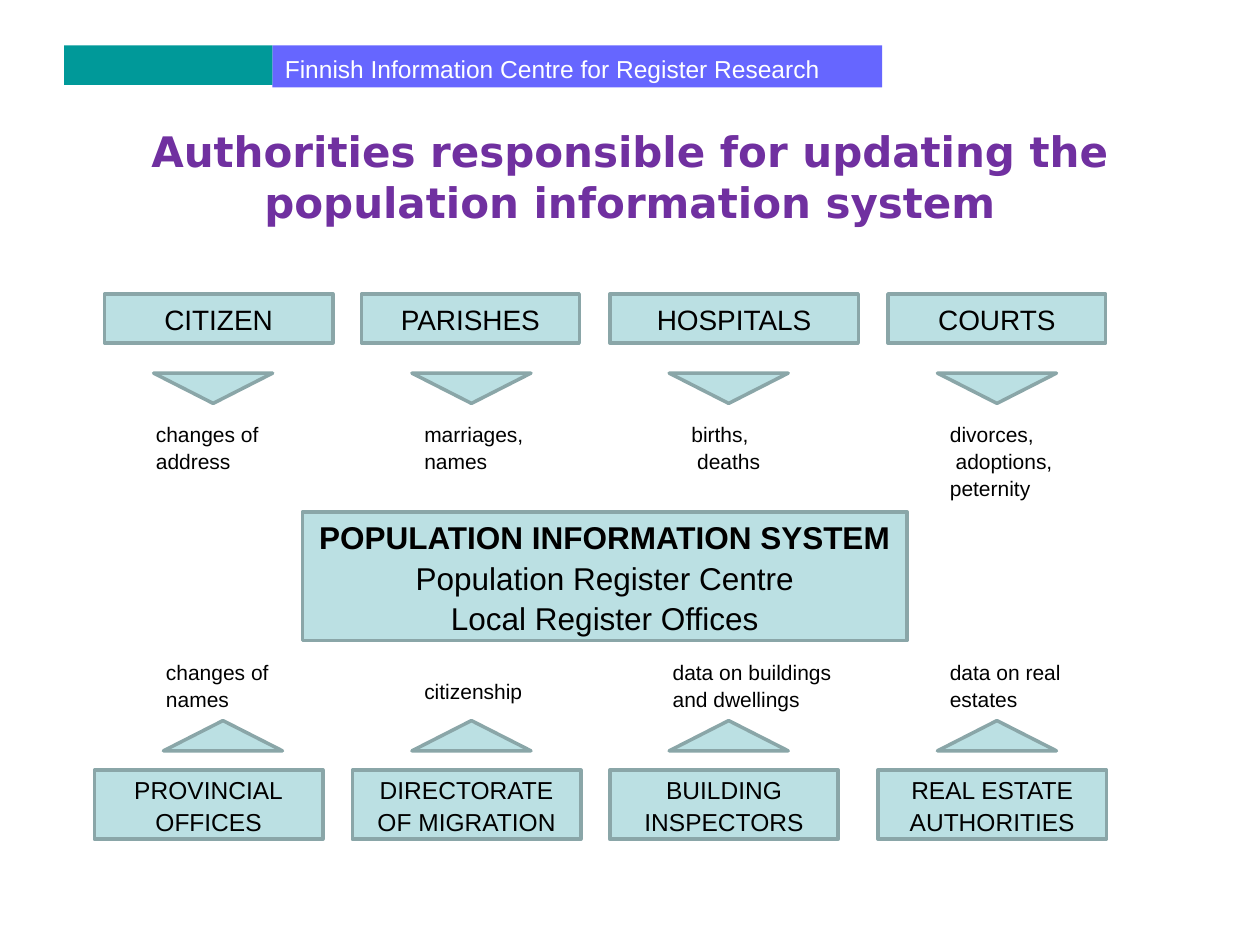
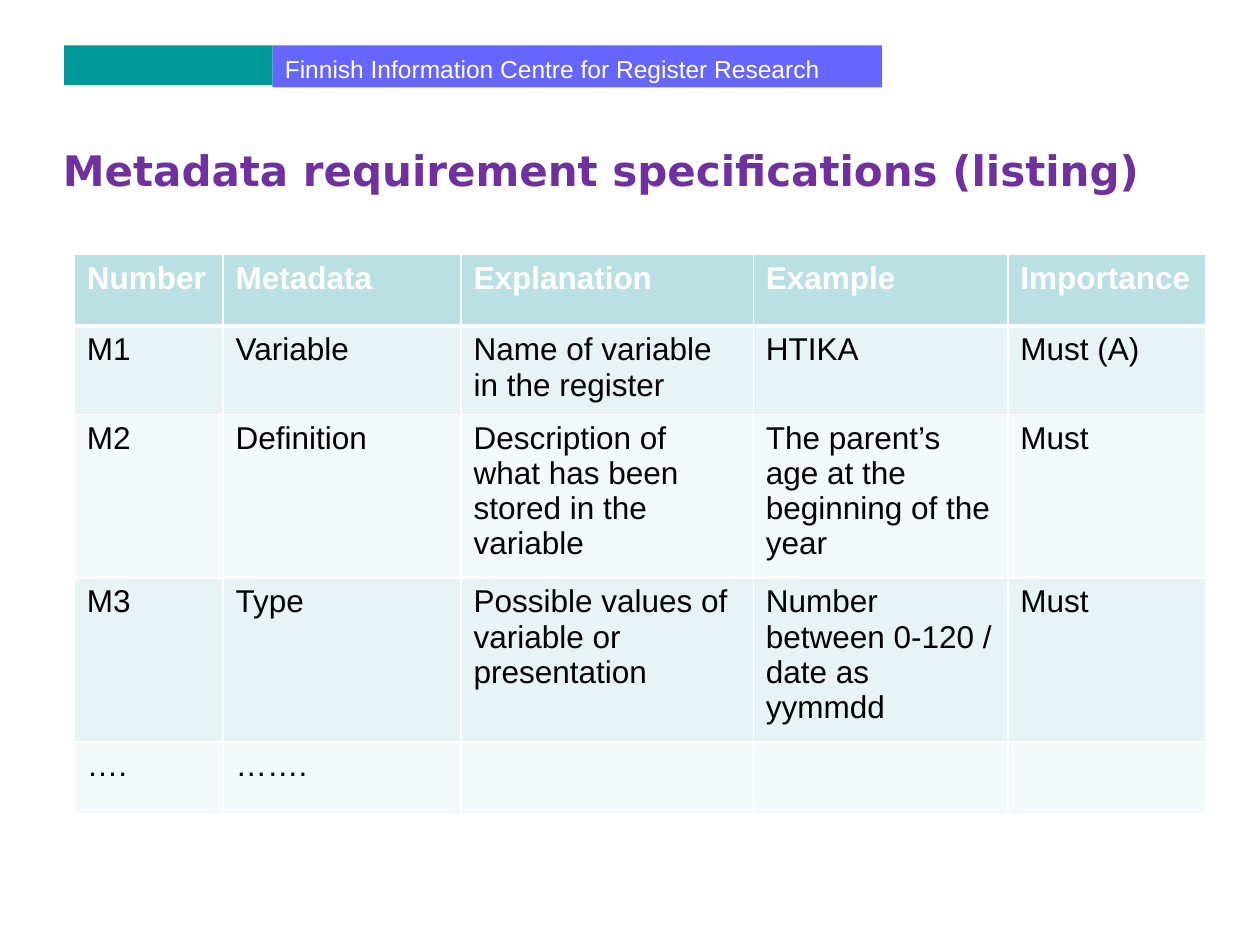
from dataclasses import dataclass

from lxml import etree
from pptx import Presentation
from pptx.dml.color import RGBColor
from pptx.enum.shapes import MSO_SHAPE
from pptx.enum.text import MSO_ANCHOR, PP_ALIGN
from pptx.oxml.ns import qn
from pptx.util import Pt

RECTANGLE = MSO_SHAPE.RECTANGLE
TRIANGLE = MSO_SHAPE.ISOSCELES_TRIANGLE
LEFT, CENTER = PP_ALIGN.LEFT, PP_ALIGN.CENTER
TOP, MIDDLE = MSO_ANCHOR.TOP, MSO_ANCHOR.MIDDLE


@dataclass(frozen=True)
class Theme:
    body_font: str = "Arial"
    title_font: str = "DejaVu Sans"
    title_size: int = 24
    large_size: int = 18
    heading_size: int = 16
    medium_size: int = 14
    label_size: int = 12
    line_spacing: float = 1.07
    black: str = "000000"
    white: str = "FFFFFF"
    purple: str = "7030A0"
    teal: str = "009999"
    violet: str = "6666FF"
    aqua: str = "BBE0E3"
    aqua_edge: str = "8AA6A8"
    row_fills: tuple = ("E7F3F4", "F3F9FA")


THEME = Theme()


@dataclass(frozen=True)
class Authority:
    """A data source: its box, its arrow and the data it reports."""
    name: str
    left: float
    width: float
    arrow_left: float
    label: str
    label_left: float
    label_width: float
    label_drop: float = 0
    indent_second: bool = False


@dataclass(frozen=True)
class RowLayout:
    """Vertical places of the parts of one row of authorities."""
    name_top: float
    name_height: float
    name_size: int
    arrow_top: float
    label_top: float
    arrow_rotation: int


DIAGRAM_BOX = (54, 168)
TABLE_BOX = (42.5, 145.5)
ARROW_WIDTH, ARROW_HEIGHT = 68, 17.3
LABEL_LINE_HEIGHT = 14.7

UPPER_LAYOUT = RowLayout(0, 28, THEME.heading_size, 45.2, 68.2, 180)
LOWER_LAYOUT = RowLayout(272, 39.6, THEME.medium_size, 243.8, 204.2, 0)

UPPER_AUTHORITIES = (
    Authority("CITIZEN", 5.7, 130.5, 33.8, "changes of\naddress", 28, 80),
    Authority("PARISHES", 152.6, 124.5, 181.4, "marriages,\nnames", 181.4, 72),
    Authority("HOSPITALS", 294.5, 142, 328.4, "births,\ndeaths", 334, 56,
              indent_second=True),
    Authority("COURTS", 453.4, 124.5, 481.7, "divorces,\nadoptions,\npeternity",
              481.7, 74, indent_second=True),
)
LOWER_AUTHORITIES = (
    Authority("PROVINCIAL\nOFFICES", 0, 130.5, 39.4,
              "changes of\nnames", 33.8, 78),
    Authority("DIRECTORATE\nOF MIGRATION", 147.4, 130.5, 181.4,
              "citizenship", 181.4, 72, label_drop=10.8),
    Authority("BUILDING INSPECTORS", 294.5, 130.5, 328.4,
              "data on buildings\nand dwellings", 323.3, 108),
    Authority("REAL ESTATE AUTHORITIES", 447.8, 130.5, 481.7,
              "data on real\nestates", 481.7, 80),
)

COLUMN_WIDTHS = (85, 136, 167, 145.5, 113)
ROW_HEIGHTS = (40.8, 50.4, 93.6, 93.6, 40.8)
METADATA_ROWS = (
    ("Number", "Metadata", "Explanation", "Example", "Importance"),
    ("M1", "Variable", "Name of variable in the register", "HTIKA", "Must (A)"),
    ("M2", "Definition", "Description of what has been stored in the variable",
     "The parent’s age at the beginning of the year", "Must"),
    ("M3", "Type", "Possible values of variable or presentation",
     "Number between 0-120 / date as yymmdd", "Must"),
    ("….", "…….", "", "", ""),
)


def rgb(color):
    return RGBColor.from_string(color)


def points(*lengths):
    return [Pt(length) for length in lengths]


def style_font(paragraph, size, color, bold=False, name=THEME.body_font):
    font = paragraph.font
    font.name, font.size, font.bold = name, Pt(size), bold
    font.color.rgb = rgb(color)


def write_lines(shape, text, size, color=THEME.black, align=CENTER, anchor=MIDDLE):
    """Write one paragraph for each line of text and return the paragraphs."""
    frame = shape.text_frame
    frame.word_wrap = True
    frame.vertical_anchor = anchor
    frame.text = text
    for paragraph in frame.paragraphs:
        paragraph.alignment = align
        paragraph.line_spacing = THEME.line_spacing
        style_font(paragraph, size, color)
    return frame.paragraphs


def add_filled(slide, kind, box, fill, edge=None):
    shape = slide.shapes.add_shape(kind, *points(*box))
    shape.shadow.inherit = False
    shape.fill.solid()
    shape.fill.fore_color.rgb = rgb(fill)
    if edge:
        shape.line.color.rgb = rgb(edge)
        shape.line.width = Pt(2)
    else:
        shape.line.fill.background()
    return shape


def add_node(slide, kind, box):
    return add_filled(slide, kind, box, THEME.aqua, THEME.aqua_edge)


def add_header_band(slide):
    banner = add_filled(slide, RECTANGLE, (155.7, 26, 348.5, 24), THEME.violet)
    write_lines(banner, "Finnish Information Centre for Register Research",
                THEME.medium_size, THEME.white, LEFT, TOP)
    add_filled(slide, RECTANGLE, (36.7, 26, 119, 22.5), THEME.teal)


def add_title(slide, text, left, top):
    title = slide.shapes.add_textbox(*points(left, top, 648, 62.6))
    paragraph = write_lines(title, text, THEME.title_size)[0]
    paragraph.line_spacing = 1.02
    style_font(paragraph, THEME.title_size, THEME.purple, True, THEME.title_font)


def add_label(slide, authority, left, top):
    height = 7.2 + LABEL_LINE_HEIGHT * len(authority.label.split("\n"))
    label = slide.shapes.add_textbox(
        *points(left, top, authority.label_width, height))
    paragraphs = write_lines(label, authority.label, THEME.label_size,
                             align=LEFT, anchor=TOP)
    if authority.indent_second:
        properties = paragraphs[1]._p.get_or_add_pPr()
        properties.set("marL", str(Pt(3.3)))
        properties.set("indent", "0")


def add_authority_row(slide, box, layout, authorities):
    left, top = box
    for authority in authorities:
        node = add_node(slide, RECTANGLE, (
            left + authority.left, top + layout.name_top,
            authority.width, layout.name_height))
        write_lines(node, authority.name, layout.name_size)
        arrow = add_node(slide, TRIANGLE, (
            left + authority.arrow_left, top + layout.arrow_top,
            ARROW_WIDTH, ARROW_HEIGHT))
        arrow.rotation = layout.arrow_rotation
        add_label(slide, authority, left + authority.label_left,
                  top + layout.label_top + authority.label_drop)


def add_population_system(slide, box):
    left, top = box
    system = add_node(slide, RECTANGLE, (left + 118.8, top + 124.5, 345.6, 73.5))
    paragraphs = write_lines(
        system,
        "POPULATION INFORMATION SYSTEM\nPopulation Register Centre\n"
        "Local Register Offices", THEME.large_size)
    paragraphs[0].font.bold = True


def set_cell_borders(cell, bottom_width, top_width):
    """Give the cell white borders; fill must already be set."""
    properties = cell._tc.get_or_add_tcPr()
    widths = {"a:lnL": 1, "a:lnR": 1, "a:lnT": top_width, "a:lnB": bottom_width}
    for position, (tag, width) in enumerate(widths.items()):
        border = etree.Element(qn(tag), w=str(Pt(width)))
        fill = etree.SubElement(border, qn("a:solidFill"))
        etree.SubElement(fill, qn("a:srgbClr"), val=THEME.white)
        properties.insert(position, border)


def add_metadata_table(slide, box):
    table = slide.shapes.add_table(
        len(METADATA_ROWS), len(COLUMN_WIDTHS),
        *points(*box, sum(COLUMN_WIDTHS), sum(ROW_HEIGHTS))).table
    for column, width in zip(table.columns, COLUMN_WIDTHS):
        column.width = Pt(width)
    for row_index, (row, height) in enumerate(zip(table.rows, ROW_HEIGHTS)):
        row.height = Pt(height)
        is_header = row_index == 0
        fill = THEME.aqua if is_header else THEME.row_fills[(row_index - 1) % 2]
        for cell, text in zip(row.cells, METADATA_ROWS[row_index]):
            cell.text = text
            style_font(cell.text_frame.paragraphs[0], THEME.large_size,
                       THEME.white if is_header else THEME.black, is_header)
            cell.fill.solid()
            cell.fill.fore_color.rgb = rgb(fill)
            set_cell_borders(cell, bottom_width=3 if is_header else 1,
                             top_width=3 if row_index == 1 else 1)


def add_base_slide(presentation, title, title_left, title_top):
    slide = presentation.slides.add_slide(presentation.slide_layouts[6])
    add_title(slide, title, title_left, title_top)
    add_header_band(slide)
    return slide


def build_authorities_slide(presentation):
    slide = add_base_slide(
        presentation,
        "Authorities responsible for updating the population information system",
        36, 69)
    add_authority_row(slide, DIAGRAM_BOX, UPPER_LAYOUT, UPPER_AUTHORITIES)
    add_authority_row(slide, DIAGRAM_BOX, LOWER_LAYOUT, LOWER_AUTHORITIES)
    add_population_system(slide, DIAGRAM_BOX)


def build_metadata_slide(presentation):
    slide = add_base_slide(
        presentation, "Metadata requirement specifications (listing)", 19.5, 65.5)
    add_metadata_table(slide, TABLE_BOX)


def main():
    presentation = Presentation()
    presentation.slide_width, presentation.slide_height = points(720, 540)
    build_authorities_slide(presentation)
    build_metadata_slide(presentation)
    presentation.save("out.pptx")


if __name__ == "__main__":
    main()
